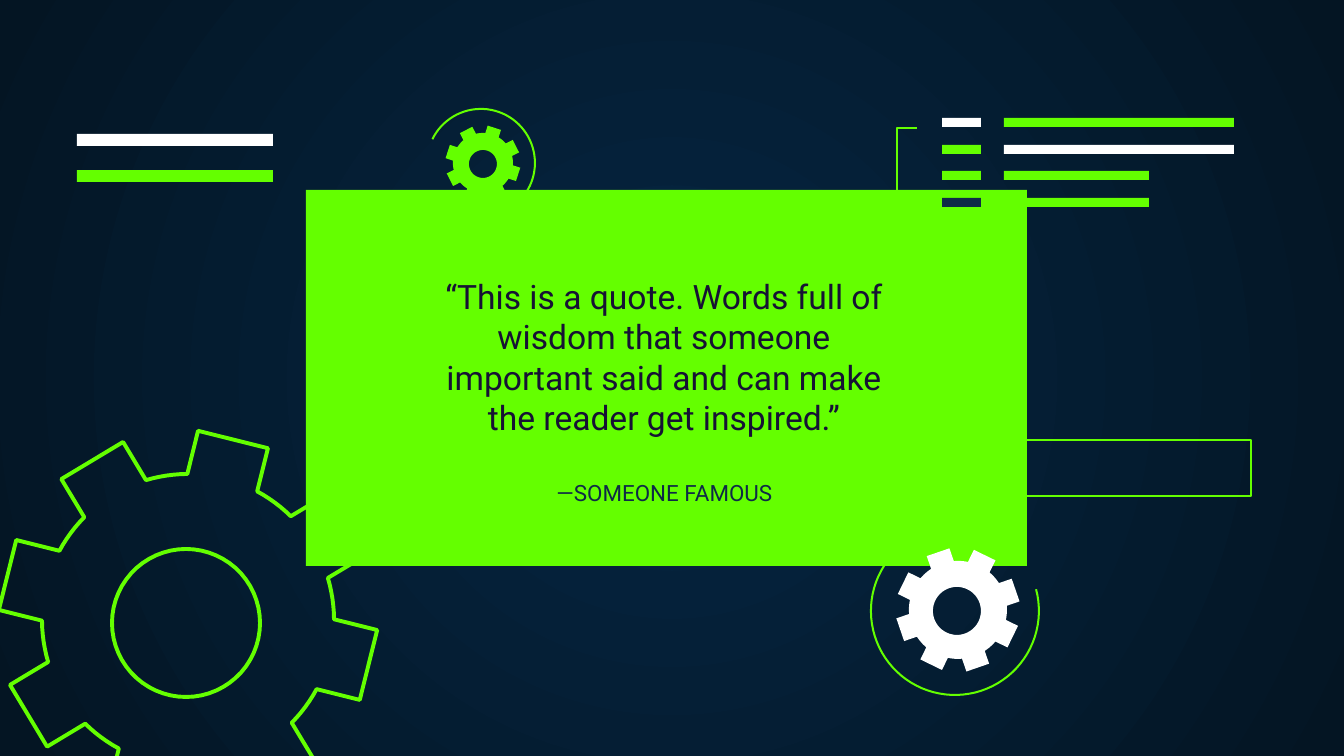
import math

import pptx
import pptx.dml.color
import pptx.enum.shapes
import pptx.enum.text
import pptx.oxml
import pptx.oxml.ns
import pptx.util

SCALE = 914400 / 134.4
GREEN, WHITE, NAVY, INK = "64FF00", "FFFFFF", "0E2A47", "161234"
THIN, THICK = 1.09, 2.1


def px(length):
    return pptx.util.Emu(round(length * SCALE))


def rgb(value):
    return pptx.dml.color.RGBColor.from_string(value)


def arc_points(center, radius, start, end, steps):
    angles = [math.radians(start + (end - start) * i / steps) for i in range(steps + 1)]
    return [(center[0] + radius * math.cos(a), center[1] + radius * math.sin(a)) for a in angles]


def gear_points(center, tip, root, half_width, turn, teeth=8):
    step = 360 / teeth
    spread = math.degrees(math.asin(half_width / root))
    points = []
    for tooth in range(teeth):
        middle = turn + tooth * step
        angle = math.radians(middle)
        for side in (-half_width, half_width):
            points.append((center[0] + tip * math.cos(angle) - side * math.sin(angle),
                           center[1] + tip * math.sin(angle) + side * math.cos(angle)))
        points += arc_points(center, root, middle + spread, middle + step - spread, 6)
    return points


class Painter:
    font = "Roboto"

    def __init__(self, page):
        self.page = page

    def backdrop(self, inner, outer):
        fill = self.page.background.fill
        fill.gradient()
        for stop, color, position in zip(fill.gradient_stops, (inner, outer), (0, 1)):
            stop.color.rgb = rgb(color)
            stop.position = position
        qn = pptx.oxml.ns.qn
        gradient = next(self.page.element.iter(qn("a:gradFill")))
        linear = gradient.find(qn("a:lin"))
        radial = pptx.oxml.parse_xml(
            f'<a:path {pptx.oxml.ns.nsdecls("a")} path="circle">'
            '<a:fillToRect l="50000" t="50000" r="50000" b="50000"/></a:path>')
        gradient.replace(linear, radial)

    def paint(self, shape, fill=None, line=None, width=THIN):
        shape.shadow.inherit = False
        if fill:
            shape.fill.solid()
            shape.fill.fore_color.rgb = rgb(fill)
        else:
            shape.fill.background()
        if line:
            shape.line.color.rgb = rgb(line)
            shape.line.width = pptx.util.Pt(width)
        else:
            shape.line.fill.background()

    def bar(self, left, top, width, height, **style):
        shape = self.page.shapes.add_shape(
            pptx.enum.shapes.MSO_SHAPE.RECTANGLE, px(left), px(top), px(width), px(height))
        self.paint(shape, **style)

    def outline(self, *contours, close=True, **style):
        contours = [[(px(x), px(y)) for x, y in contour] for contour in contours]
        builder = self.page.shapes.build_freeform(*contours[0][0])
        for index, contour in enumerate(contours):
            if index:
                builder.move_to(*contour[0])
            builder.add_line_segments(contour[1:], close=close)
        self.paint(builder.convert_to_shape(), **style)

    def gear(self, center, tip, root, half_width, turn, hub, hole, **style):
        self.outline(gear_points(center, tip, root, half_width, turn),
                     arc_points(hub, hole, 0, 360, 60), **style)

    def arc(self, center, radius, start, end):
        self.outline(arc_points(center, radius, start, end, 60), close=False, line=GREEN)

    def words(self, box, frame, text, size, color, anchor):
        box.left, box.top, box.width, box.height = map(px, frame)
        self.page.shapes.element.append(box.element)
        body = box.text_frame
        body.word_wrap = True
        body.auto_size = pptx.enum.text.MSO_AUTO_SIZE.NONE
        body.vertical_anchor = anchor
        body.margin_left = body.margin_right = body.margin_top = body.margin_bottom = px(13)
        para = body.paragraphs[0]
        para.alignment = pptx.enum.text.PP_ALIGN.CENTER
        para.space_before = pptx.util.Pt(0)
        para.line_spacing = 1.0
        span = para.add_run()
        span.text = text
        span.font.name = self.font
        span.font.size = pptx.util.Pt(size)
        span.font.color.rgb = rgb(color)


def main():
    deck = pptx.Presentation()
    deck.slide_width, deck.slide_height = px(1344), px(756)
    page = deck.slides.add_slide(deck.slide_layouts[0])
    painter = Painter(page)
    painter.backdrop("052643", "041523")
    painter.bar(306, 190, 721, 376, fill=GREEN)

    painter.arc((481, 163), 54, 206, 456)
    painter.arc((955, 611), 84, -15, 233)
    painter.gear((188, 620), 186, 146, 36, 14, (186, 623), 74, line=GREEN, width=THICK)
    painter.gear((958, 610), 61, 49, 12, 26, (957, 611), 24, fill=WHITE)
    painter.gear((483, 163), 37, 30, 7, 18, (483, 164), 14, fill=GREEN)

    rows = [(WHITE, GREEN, 230), (GREEN, WHITE, 230), (GREEN, GREEN, 145), (NAVY, GREEN, 145)]
    for index, (label, value, width) in enumerate(rows):
        top = round(118 + index * 26.67)
        painter.bar(942, top, 39, 9, fill=label)
        painter.bar(1004, top, width, 9, fill=value)
    painter.outline([(917, 210), (897, 210), (897, 128), (917, 128)], close=False, line=GREEN)
    for top, color in ((134, WHITE), (170, GREEN)):
        painter.bar(77, top, 196, 12, fill=color)
    painter.bar(968, 440, 283, 56, line=GREEN)

    anchors = pptx.enum.text.MSO_ANCHOR
    title, quote = page.placeholders
    painter.words(title, (405, 234, 519, 285), "—SOMEONE FAMOUS", 12, NAVY, anchors.BOTTOM)
    painter.words(quote, (410, 263, 508, 208),
                  "“This is a quote. Words full of wisdom that someone important said "
                  "and can make the reader get inspired.”", 18, INK, anchors.TOP)
    deck.save("out.pptx")


if __name__ == "__main__":
    main()
